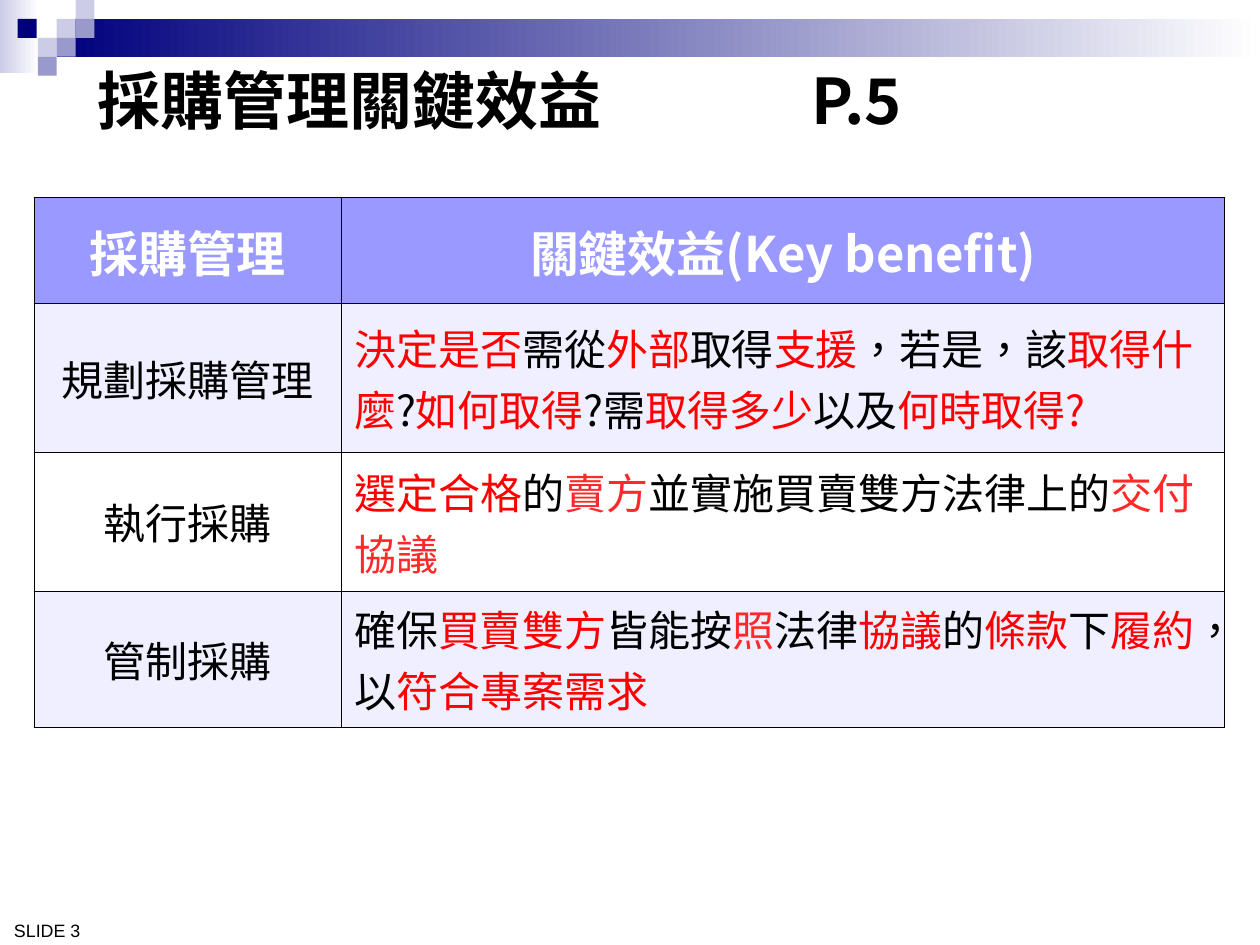
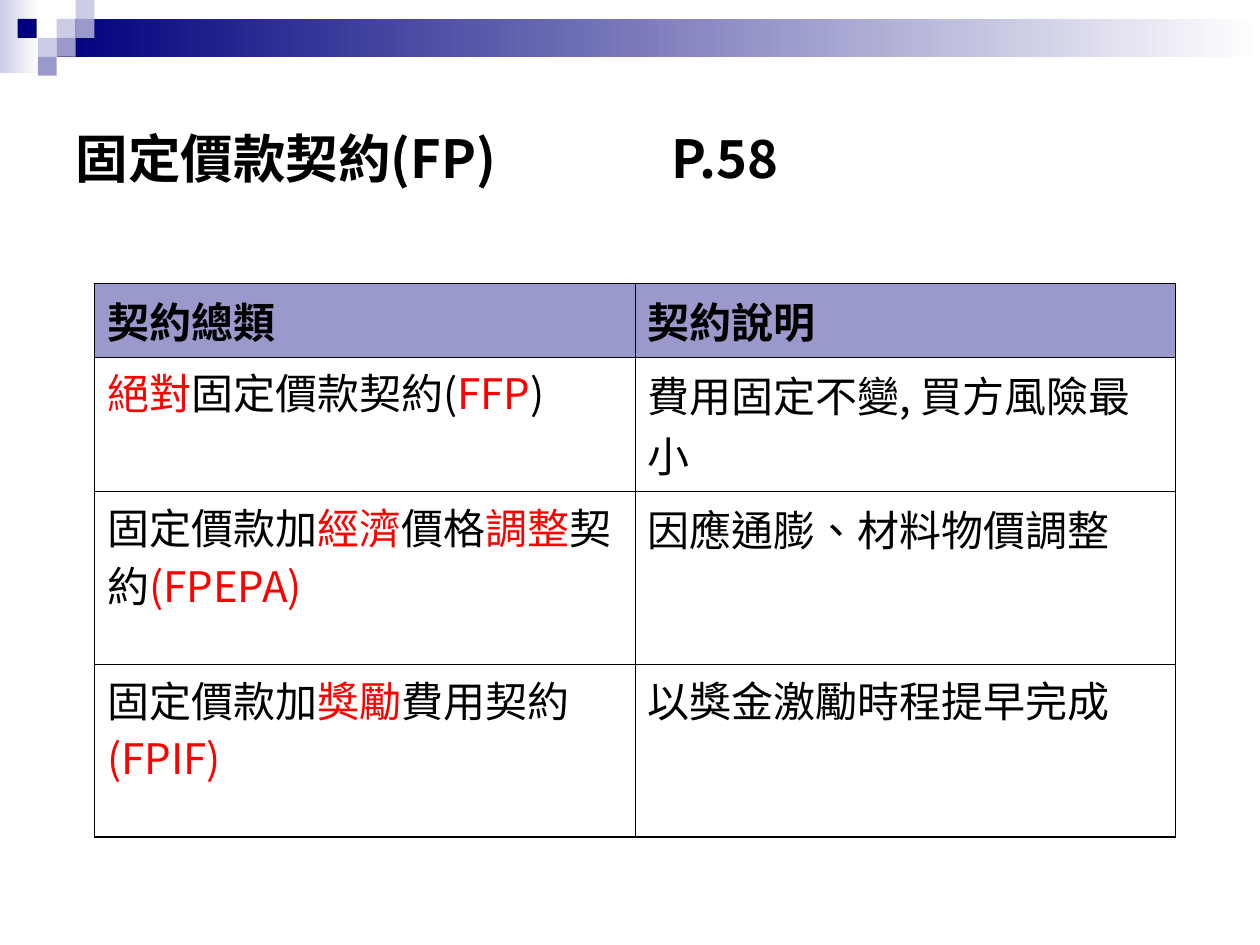
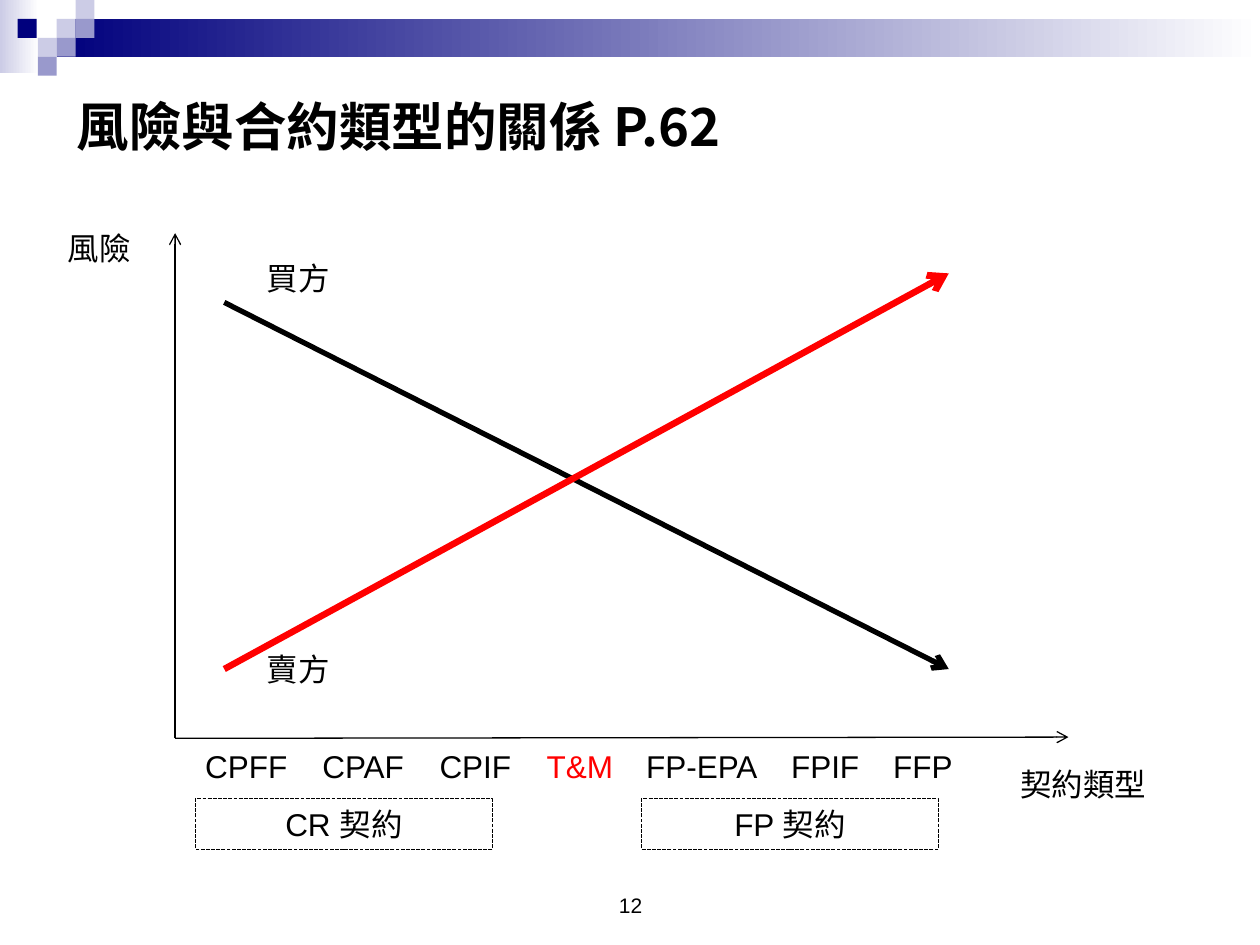
from pptx import Presentation
from pptx.dml.color import RGBColor
from pptx.enum.dml import MSO_LINE
from pptx.enum.shapes import MSO_CONNECTOR, MSO_SHAPE
from pptx.enum.text import MSO_ANCHOR, MSO_AUTO_SIZE, PP_ALIGN
from pptx.oxml.ns import qn
from pptx.util import Inches, Pt
from lxml.etree import SubElement

NAVY = RGBColor(0x00, 0x00, 0x7D)
PALE = RGBColor(0xCC, 0xCC, 0xE6)
LILAC = RGBColor(0x99, 0x99, 0xCC)
VIOLET = RGBColor(0x99, 0x99, 0xFF)
MIST = RGBColor(0xEF, 0xEF, 0xFF)
WHITE = RGBColor(0xFF, 0xFF, 0xFF)
BLACK = RGBColor(0x00, 0x00, 0x00)
RED = RGBColor(0xFF, 0x00, 0x00)
LIGHT_RED = RGBColor(0xFF, 0x29, 0x29)

NOTO = "Noto Sans CJK SC"
ARIAL = "Arial"
THIN, THICK = 0.45, 1.08
TITLE_ONLY = 5

BAND_GRADIENTS = [(0, 0, 0.31, 0.58, PALE), (0.45, 0.15, 9.55, 0.3, NAVY)]
BAND_SQUARES = [
    (0.45, 0.15, PALE), (0.6, 0, PALE), (0.6, 0.15, LILAC), (0.3, 0.3, PALE),
    (0.14, 0.15, NAVY), (0.45, 0.3, LILAC), (0.3, 0.45, LILAC),
]

BENEFITS = [
    (["採購管理"], ["關鍵效益(Key benefit)"]),
    (["規劃採購管理"],
     [("決定是否", RED), "需從", ("外部", RED), "取得", ("支援", RED), "，若是，該",
      ("取得什麼", RED), "?", ("如何取得", RED), "?需", ("取得多少", RED), "以及",
      ("何時取得?", RED)]),
    (["執行採購"],
     [("選定合格", RED), "的", ("賣方", LIGHT_RED), "並實施買賣雙方法律上的",
      ("交付協議", LIGHT_RED)]),
    (["管制採購"],
     ["確保", ("買賣雙方", RED), "皆能按", ("照", LIGHT_RED), "法律", ("協議", RED), "的",
      ("條款", RED), "下", ("履約", RED), "，以", ("符合專案需求", RED)]),
]

CONTRACTS = [
    (["契約總類"], ["契約說明"]),
    ([("絕對", RED), "固定價款契約(", ("FFP", RED), ")"], ["費用固定不變, 買方風險最小"]),
    (["固定價款加", ("經濟", RED), "價格", ("調整", RED), "契約", ("(FPEPA)", RED)],
     ["因應通膨、材料物價調整"]),
    (["固定價款加", ("獎勵", RED), "費用契約", ("(FPIF)", RED)], ["以獎金激勵時程提早完成"]),
]


def apply(target, values):
    for name, value in values.items():
        setattr(target, name, value)


def write(frame, pieces, size, font=NOTO, color=BLACK, bold=False,
          align=PP_ALIGN.LEFT, spacing=None, tabs=()):
    para = frame.paragraphs[0]
    apply(para, {"alignment": align, "line_spacing": spacing})
    if tabs:
        tab_list = SubElement(para._p.get_or_add_pPr(), qn("a:tabLst"))
        for stop in tabs:
            SubElement(tab_list, qn("a:tab"), pos=str(Inches(stop)), algn="l")
    for piece in pieces:
        text, ink = (piece, color) if isinstance(piece, str) else piece
        span = para.add_run()
        span.text = text
        apply(span.font, {"name": font, "size": Pt(size), "bold": bold})
        span.font.color.rgb = ink
        props = span._r.get_or_add_rPr()
        props.set("lang", "zh-TW")
        SubElement(props, qn("a:ea"), typeface=NOTO)


def add_rect(page, left, top, width, height):
    rect = page.shapes.add_shape(MSO_SHAPE.RECTANGLE, Inches(left), Inches(top),
                                 Inches(width), Inches(height))
    rect.shadow.inherit = False
    return rect


def add_band(page, layout):
    blocks = []
    for left, top, width, height, color in BAND_GRADIENTS:
        block = add_rect(page, left, top, width, height)
        block.fill.gradient()
        block.fill.gradient_angle = 0
        for stop, shade in zip(block.fill.gradient_stops, (color, WHITE)):
            stop.color.rgb = shade
        blocks.append(block)
    for left, top, color in BAND_SQUARES:
        block = add_rect(page, left, top, 0.15, 0.15)
        block.fill.solid()
        block.fill.fore_color.rgb = color
        blocks.append(block)
    for block in blocks:
        block.line.fill.background()
        layout.shapes.element.append(block.element)


def set_title(page, pieces, left, top, width, height, size, tabs=()):
    title = page.shapes.title
    apply(title, {"left": Inches(left), "top": Inches(top),
                  "width": Inches(width), "height": Inches(height)})
    apply(title.text_frame, {"word_wrap": True, "auto_size": MSO_AUTO_SIZE.NONE,
                             "vertical_anchor": MSO_ANCHOR.MIDDLE})
    write(title.text_frame, pieces, size, bold=True, tabs=tabs)


def add_label(page, pieces, left, top, width, height=0.4, size=18,
              anchor=MSO_ANCHOR.TOP, **style):
    box = page.shapes.add_textbox(Inches(left), Inches(top), Inches(width), Inches(height))
    apply(box.text_frame, {"word_wrap": True, "vertical_anchor": anchor})
    write(box.text_frame, pieces, size, **style)


def add_dashed_box(page, text, left):
    box = add_rect(page, left, 6.34, 2.36, 0.4)
    box.fill.background()
    box.line.color.rgb = BLACK
    apply(box.line, {"width": Pt(0.75), "dash_style": MSO_LINE.SQUARE_DOT})
    apply(box.text_frame, {"word_wrap": True, "vertical_anchor": MSO_ANCHOR.TOP})
    write(box.text_frame, [text], 18, font=ARIAL, align=PP_ALIGN.CENTER)


def add_arrow(page, start, end, color=BLACK, width=0.75):
    points = [Inches(value) for value in (*start, *end)]
    arrow = page.shapes.add_connector(MSO_CONNECTOR.STRAIGHT, *points)
    arrow.line.color.rgb = color
    arrow.line.width = Pt(width)
    SubElement(arrow.line._get_or_add_ln(), qn("a:tailEnd"), type="arrow")
    SubElement(arrow.element.spPr, qn("a:effectLst"))


def set_borders(cell, widths):
    props = cell._tc.get_or_add_tcPr()
    for index, (side, width) in enumerate(widths.items()):
        edge = props.makeelement(qn(f"a:{side}"), {"w": str(Pt(width))})
        fill = SubElement(edge, qn("a:solidFill"))
        SubElement(fill, qn("a:srgbClr"), val=str(BLACK))
        props.insert(index, edge)


def add_grid(page, rows, left, top, widths, heights, outer, style_for):
    table = page.shapes.add_table(len(rows), len(widths), Inches(left), Inches(top),
                                  Inches(sum(widths)), Inches(sum(heights))).table
    for column, width in zip(table.columns, widths):
        column.width = Inches(width)
    for row, height in zip(table.rows, heights):
        row.height = Inches(height)
    last_row, last_col = len(rows) - 1, len(widths) - 1
    for r, row in enumerate(rows):
        for c, pieces in enumerate(row):
            cell = table.cell(r, c)
            fill, anchor, style = style_for(r, c)
            if fill is None:
                cell.fill.background()
            else:
                cell.fill.solid()
                cell.fill.fore_color.rgb = fill
            cell.vertical_anchor = anchor
            write(cell.text_frame, pieces, **style)
            set_borders(cell, {
                "lnL": outer if c == 0 else THIN,
                "lnR": outer if c == last_col else THIN,
                "lnT": outer if r == 0 else THIN,
                "lnB": outer if r == last_row else THIN,
            })


def benefit_style(r, c):
    if r == 0:
        return VIOLET, MSO_ANCHOR.MIDDLE, {
            "size": 28, "color": WHITE, "bold": True, "align": PP_ALIGN.CENTER}
    align = PP_ALIGN.CENTER if c == 0 else PP_ALIGN.LEFT
    return MIST if r % 2 else WHITE, MSO_ANCHOR.MIDDLE, {"size": 24, "align": align}


def contract_style(r, c):
    if r == 0:
        return LILAC, MSO_ANCHOR.TOP, {"size": 24, "bold": True}
    tight = c == 0 or r == 3
    return None, MSO_ANCHOR.TOP, {"size": 24, "spacing": 0.95 if tight else None}


def build_benefits(page):
    set_title(page, ["採購管理關鍵效益\tP.5"], 0.67, 0.25, 8.92, 1.08, 36, tabs=[5.67])
    add_grid(page, BENEFITS, 0.27, 1.57, [2.44, 7.01], [0.84, 1.18, 1.1, 1.08],
             THIN, benefit_style)
    add_label(page, ["SLIDE 3"], -0.04, 7.24, 0.83, 0.28, 10.2, MSO_ANCHOR.BOTTOM,
              font=ARIAL, align=PP_ALIGN.CENTER)


def build_contracts(page):
    set_title(page, ["固定價款契約(FP)\tP.58"], 0.5, 0.5, 9, 1.5, 30, tabs=[4.73])
    add_grid(page, CONTRACTS, 0.75, 2.25, [4.29, 4.29], [0.58, 1.07, 1.37, 1.37],
             THICK, contract_style)


def build_risk(page):
    set_title(page, ["風險與合約類型的關係 P.62"], 0.51, 0.44, 6.61, 1.12, 30)
    origin = (1.39, 5.86)
    add_arrow(page, origin, (1.39, 1.85))
    add_arrow(page, origin, (8.48, 5.85))
    add_label(page, ["風險"], 0.44, 1.77, 0.94)
    add_label(page, ["契約類型"], 8, 6.02, 1.5, font=ARIAL)
    add_label(page, ["CPFF\tCPAF\tCPIF\t", ("T&M", RED), "\tFP-EPA\tFPIF\tFFP"],
              1.53, 5.88, 6.38, font=ARIAL, tabs=[0.93, 1.86, 2.71, 3.5, 4.65, 5.46])
    add_arrow(page, (1.78, 2.4), (7.53, 5.31), width=3)
    add_label(page, ["買方"], 2.02, 2.01, 0.94)
    add_dashed_box(page, "CR 契約", 1.55)
    add_dashed_box(page, "FP 契約", 5.09)
    add_arrow(page, (1.78, 5.31), (7.53, 2.17), RED, 3.75)
    add_label(page, ["賣方"], 2.02, 5.11, 0.94)
    add_label(page, ["12"], 3.42, 6.83, 3.17, 0.5, 12, MSO_ANCHOR.BOTTOM,
              font=ARIAL, align=PP_ALIGN.CENTER)


def main():
    deck = Presentation()
    apply(deck, {"slide_width": Inches(10), "slide_height": Inches(7.5)})
    layout = deck.slide_layouts[TITLE_ONLY]
    builders = [build_benefits, build_contracts, build_risk]
    pages = [deck.slides.add_slide(layout) for _ in builders]
    add_band(pages[0], layout)
    for page, build in zip(pages, builders):
        build(page)
    deck.save("out.pptx")


if __name__ == "__main__":
    main()
